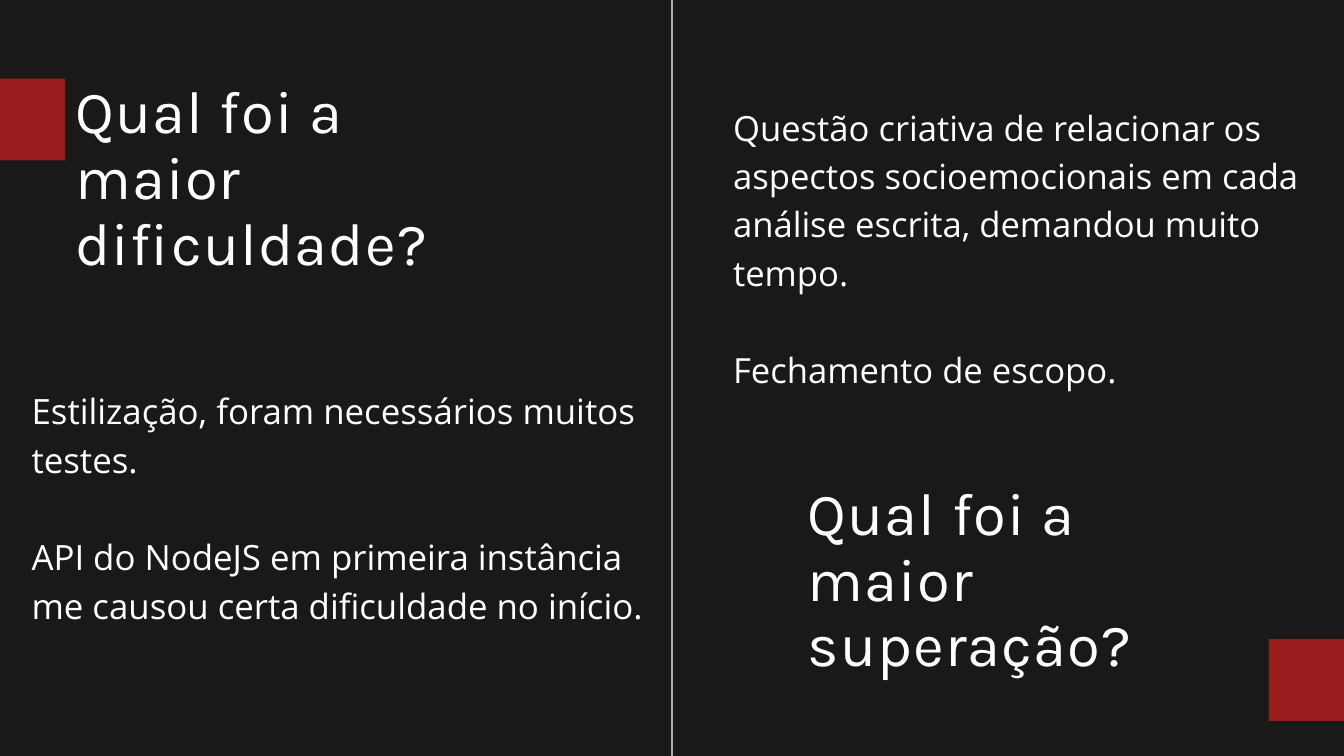
from pptx import Presentation
from pptx.dml.color import RGBColor
from pptx.enum.shapes import MSO_SHAPE as Shape
from pptx.enum.text import MSO_AUTO_SIZE as AutoSize
from pptx.oxml import parse_xml
from pptx.oxml.ns import nsdecls
from pptx.util import Pt

WIDTH, HEIGHT = 1440, 810


def color(code):
    return RGBColor.from_string(code)


def apply(target, values):
    for name, value in values.items():
        setattr(target, name, value)


class SlideBuilder:
    ink, ground, accent = "FFFFFF", "191919", "BB1D1D"
    heading_style = {"name": "Karla", "size": Pt(64)}
    frame_style = {
        "margin_left": 0, "margin_top": 0, "margin_right": 0, "margin_bottom": 0,
        "word_wrap": True, "auto_size": AutoSize.SHAPE_TO_FIT_TEXT,
    }

    def __init__(self, page):
        self.page = page
        fill = page.background.fill
        fill.solid()
        fill.fore_color.rgb = color(self.ground)

    def text(self, area, paragraphs, font, spacing, gap=0, tracking=0):
        box = self.page.shapes.add_textbox(*map(Pt, area))
        frame = box.text_frame
        apply(frame, self.frame_style)
        for index, words in enumerate(paragraphs):
            para = frame.add_paragraph() if index else frame.paragraphs[0]
            apply(para, {"line_spacing": Pt(spacing),
                         "space_before": Pt(gap if index else 0)})
            span = para.add_run()
            span.text = words
            apply(span.font, font)
            span.font.color.rgb = color(self.ink)
            if tracking:
                span.font._element.set("spc", str(round(tracking * 100)))

    def heading(self, area, words):
        self.text(area, [words], self.heading_style, 70.4, tracking=1.28)

    def body(self, area, paragraphs, size, spacing):
        # One empty line's height separates the paragraphs
        font = {"name": "Open Sans", "size": Pt(size)}
        self.text(area, paragraphs, font, spacing, gap=spacing)

    def block(self, area, code, opacity=100):
        box = self.page.shapes.add_shape(Shape.RECTANGLE, *map(Pt, area))
        box.shadow.inherit = False
        box.line.fill.background()
        box.fill.solid()
        box.fill.fore_color.rgb = color(code)
        if opacity < 100:
            tint = box.fill._xPr.find(".//{*}srgbClr")
            tint.append(parse_xml(
                f'<a:alpha {nsdecls("a")} val="{opacity * 1000}"/>'))


def main():
    deck = Presentation()
    apply(deck, {"slide_width": Pt(WIDTH), "slide_height": Pt(HEIGHT)})
    builder = SlideBuilder(deck.slides.add_slide(deck.slide_layouts[6]))

    # Left half: difficulty
    builder.body((33.84, 409.7, 687, 260), [
        "Estilização, foram necessários muitos testes.",
        "API do NodeJS em primeira instância me causou certa dificuldade no início.",
    ], 37.3, 52.3)
    builder.heading((80.64, 85.7, 418.3, 213), "Qual foi a maior dificuldade?")

    # Divider
    builder.block((719.3, -21, 1.4, 852), builder.ink)

    # Right half: achievement
    builder.heading((865.4, 516.2, 395.3, 213), "Qual foi a maior superação?")
    builder.body((785.5, 106.6, 619.2, 309), [
        "Questão criativa de relacionar os aspectos socioemocionais em cada "
        "análise escrita, demandou muito tempo.",
        "Fechamento de escopo.",
    ], 37.1, 51.9)

    # Accent blocks on the slide edges
    for left, top in ((-44, 84.2), (1359.4, 684.7)):
        builder.block((left, top, 113.8, 87.8), builder.accent, opacity=80)

    deck.save("out.pptx")


if __name__ == "__main__":
    main()
